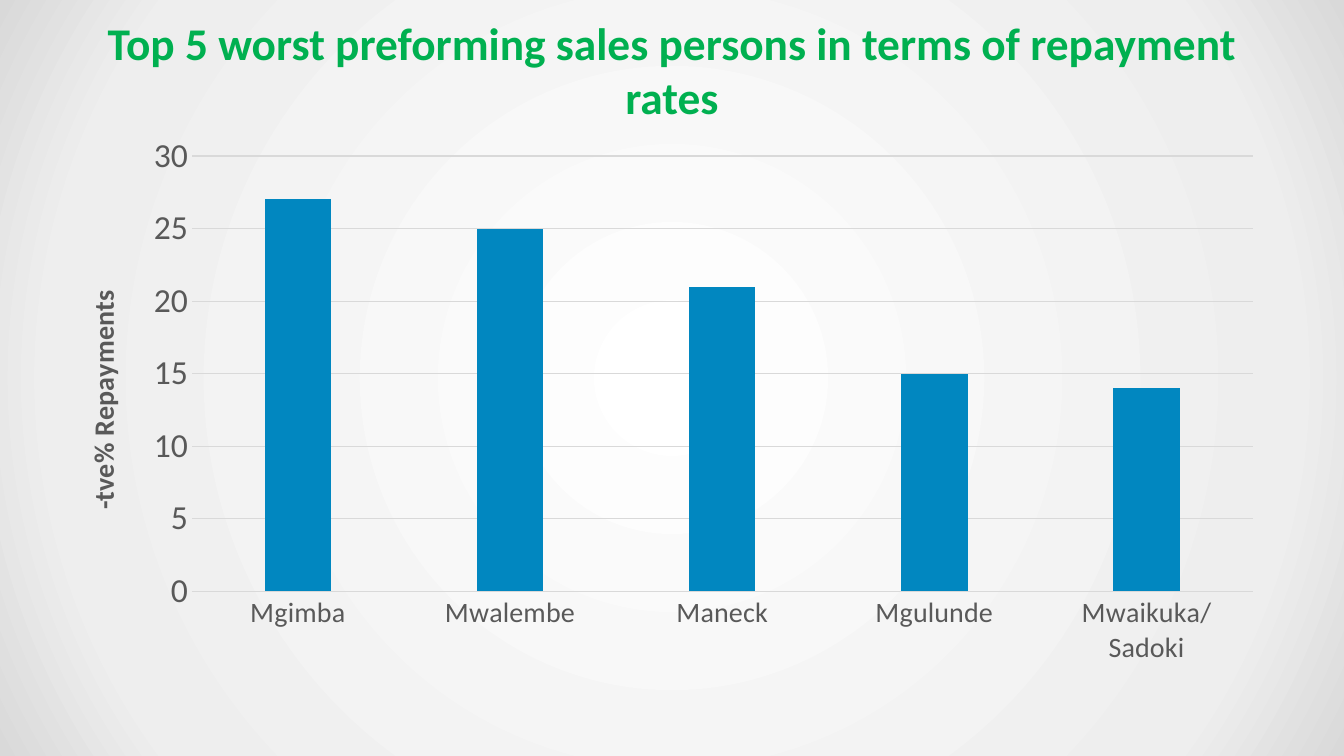
from lxml import etree
from pptx import Presentation
from pptx.chart.data import CategoryChartData
from pptx.dml.color import RGBColor
from pptx.enum.chart import XL_CHART_TYPE, XL_TICK_MARK
from pptx.enum.text import MSO_ANCHOR, PP_ALIGN
from pptx.oxml import parse_xml
from pptx.oxml.ns import nsdecls, qn
from pptx.util import Inches, Pt

COLUMNS = XL_CHART_TYPE.COLUMN_CLUSTERED
NO_TICK = XL_TICK_MARK.NONE
MIDDLE = MSO_ANCHOR.MIDDLE
CENTER = PP_ALIGN.CENTER

GREEN = RGBColor(0x00, 0xB0, 0x50)
BLUE = RGBColor(0x01, 0x87, 0xC0)
GREY = RGBColor(0x59, 0x59, 0x59)
RULE = RGBColor(0xD9, 0xD9, 0xD9)
WHITE = RGBColor(0xFF, 0xFF, 0xFF)
PALE = RGBColor(0xEE, 0xEE, 0xEE)

WIDTH, HEIGHT = 13.33, 7.5
MARGIN = 0.05
FONT = "Calibri"


def style_font(font, size, color=GREY, bold=False):
    font.name = FONT
    font.size = Pt(size)
    font.bold = bold
    font.color.rgb = color


def write(tf, text, size, color=GREY, bold=False, align=CENTER):
    p = tf.paragraphs[0]
    p.alignment = align
    r = p.add_run()
    r.text = text
    style_font(r.font, size, color, bold)


class Deck:
    def __init__(self):
        self.prs = Presentation()
        self.prs.slide_width = Inches(WIDTH)
        self.prs.slide_height = Inches(HEIGHT)
        self.s = self.prs.slides.add_slide(self.prs.slide_layouts[6])

    def box(self, x, y, w, h):
        return (Inches(x * WIDTH), Inches(y * HEIGHT),
                Inches(w * WIDTH), Inches(h * HEIGHT))

    def radial_background(self, stops):
        fill = self.s.background.fill
        fill.gradient()
        grad = self.s.background._cSld.find(".//" + qn("a:gradFill"))
        for child in list(grad):
            grad.remove(child)
        gs = "".join(f'<a:gs pos="{pos * 1000}"><a:srgbClr val="{color}"/></a:gs>'
                     for pos, color in stops)
        source = parse_xml(
            f'<a:gradFill {nsdecls("a")}><a:gsLst>{gs}</a:gsLst><a:path path="circle">'
            '<a:fillToRect l="50000" t="50000" r="50000" b="50000"/>'
            '</a:path></a:gradFill>')
        grad.extend(list(source))

    def title(self, text, y, h):
        sp = self.s.shapes.add_textbox(*self.box(MARGIN, y, 1 - 2 * MARGIN, h))
        tf = sp.text_frame
        tf.word_wrap = True
        tf.vertical_anchor = MIDDLE
        tf.margin_left = tf.margin_right = Inches(0.13)
        tf.margin_top = tf.margin_bottom = Inches(0.07)
        write(tf, text, 32.4, GREEN, bold=True)

    def column_chart(self, values, axis_title, y, h, plot):
        data = CategoryChartData()
        data.categories = list(values)
        data.add_series("Series 1", list(values.values()))
        frame = self.s.shapes.add_chart(
            COLUMNS, *self.box(MARGIN, y, 1 - 2 * MARGIN, h), data)
        chart = frame.chart
        style_font(chart.font, 10)
        chart.has_legend = False
        chart.has_title = False
        bars = chart.plots[0]
        bars.gap_width = 219
        bars.overlap = -27
        bars.vary_by_categories = False
        fill = bars.series[0].format.fill
        fill.solid()
        fill.fore_color.rgb = BLUE
        self.axes(chart, axis_title)
        self.place_plot(chart, plot)

    def axes(self, chart, axis_title):
        cat, val = chart.category_axis, chart.value_axis
        for axis, size in ((cat, 20), (val, 24)):
            axis.major_tick_mark = axis.minor_tick_mark = NO_TICK
            style_font(axis.tick_labels.font, size)
        val.minimum_scale, val.maximum_scale, val.major_unit = 0, 30, 5
        val.format.line.fill.background()
        for line in (cat.format.line, val.major_gridlines.format.line):
            line.color.rgb = RULE
            line.width = Pt(0.75)
        write(val.axis_title.text_frame, axis_title, 20, bold=True)

    def place_plot(self, chart, plot):
        area = chart._chartSpace.find(".//" + qn("c:plotArea"))
        for old in area.findall(qn("c:layout")):
            area.remove(old)
        layout = etree.Element(qn("c:layout"))
        manual = etree.SubElement(layout, qn("c:manualLayout"))
        parts = {"layoutTarget": "inner", "xMode": "edge", "yMode": "edge", **plot}
        for tag, value in parts.items():
            etree.SubElement(manual, qn("c:" + tag)).set("val", str(value))
        area.insert(0, layout)


def main():
    deck = Deck()
    deck.radial_background([(0, WHITE), (81, PALE), (100, RULE)])
    deck.title("Top 5 worst preforming sales persons in terms of repayment rates",
               y=0.04, h=0.104)
    repayments = {"Mgimba": 27, "Mwalembe": 25, "Maneck": 21,
                  "Mgulunde": 15, "Mwaikuka/Sadoki": 14}
    deck.column_chart(repayments, "-tve% Repayments", y=0.165, h=0.727,
                      plot={"x": 0.103, "y": 0.057, "w": 0.877, "h": 0.792})
    deck.prs.save("out.pptx")


if __name__ == "__main__":
    main()
